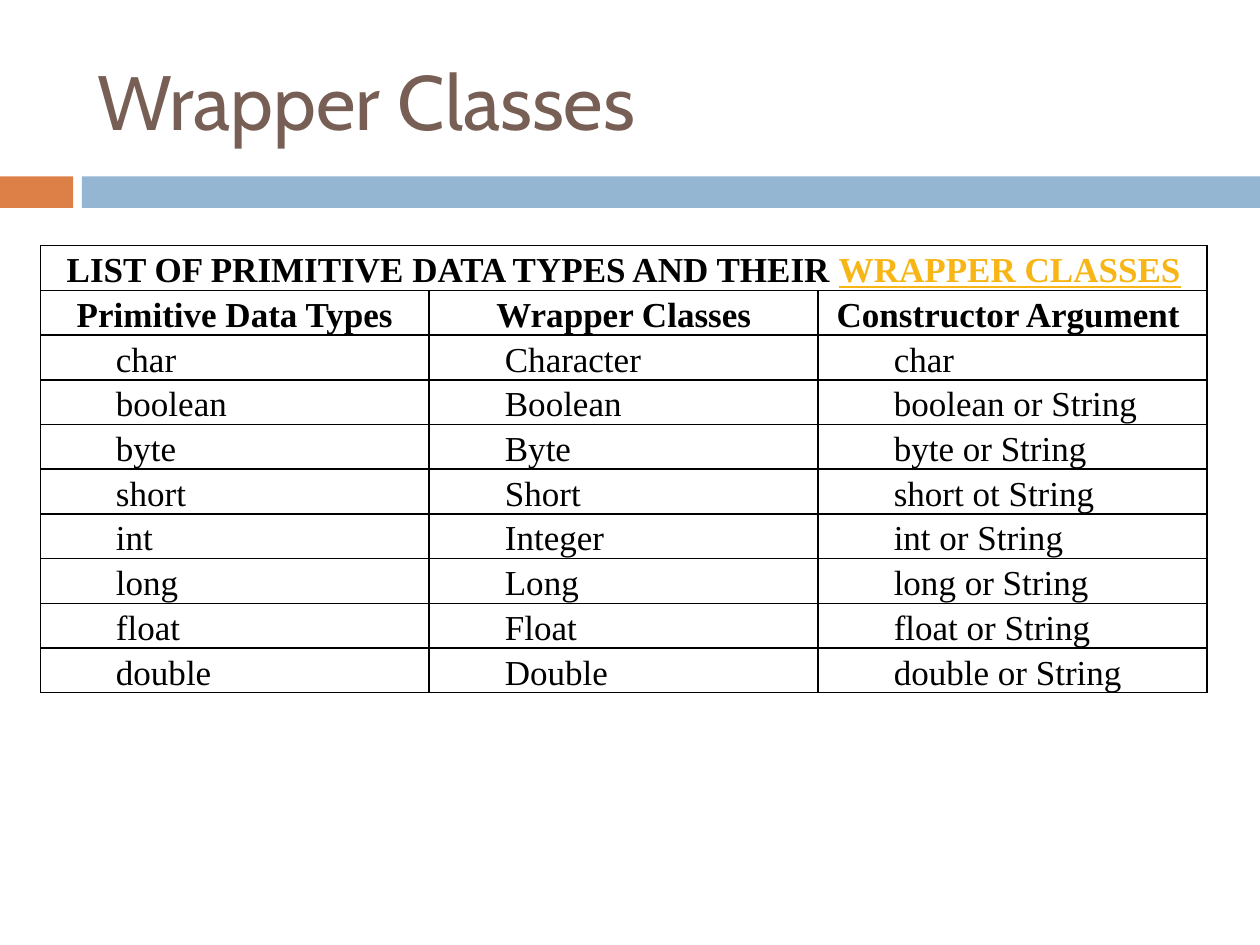
from lxml.etree import SubElement
from pptx import Presentation
from pptx.dml.color import RGBColor
from pptx.enum.shapes import MSO_SHAPE
from pptx.enum.text import MSO_ANCHOR, PP_ALIGN
from pptx.oxml.ns import qn
from pptx.util import Inches, Pt

HEADING = [("LIST OF PRIMITIVE DATA TYPES AND THEIR ", {}),
           ("WRAPPER CLASSES", {"color": "F7B615", "underline": True})]
HEADERS = ["Primitive Data Types", "Wrapper Classes", "Constructor Argument "]
ROWS = [
    ("char", "Character", "char"),
    ("boolean", "Boolean", "boolean or String"),
    ("byte", "Byte", "byte or String"),
    ("short", "Short", "short ot String"),
    ("int", "Integer", "int or String"),
    ("long", "Long", "long or String"),
    ("float", "Float", "float or String"),
    ("double", "Double", "double or String"),
]
CELL_FONT = {"name": "Times New Roman", "size": Pt(20), "bold": False}


def rgb(color):
    return RGBColor.from_string(color)


def add_run(p, text, color, fmt):
    r = p.add_run()
    r.text = text
    r.font.color.rgb = rgb(color)
    for name, value in fmt.items():
        setattr(r.font, name, value)


def add_bar(s, left, width, color):
    sp = s.shapes.add_shape(MSO_SHAPE.RECTANGLE, Inches(left), Inches(1.4),
                            Inches(width), Inches(0.25))
    sp.shadow.inherit = False
    sp.fill.solid()
    sp.fill.fore_color.rgb = rgb(color)
    sp.line.fill.background()


def set_title(s, text):
    sp = s.shapes.title
    place = {"left": 0.67, "top": 0.25, "width": 8.92, "height": 1.08}
    for name, value in place.items():
        setattr(sp, name, Inches(value))
    tf = sp.text_frame
    tf.vertical_anchor = MSO_ANCHOR.MIDDLE
    p = tf.paragraphs[0]
    p.alignment = PP_ALIGN.LEFT
    add_run(p, text, "775F55", {"name": "Cabin", "size": Pt(44)})


def style_cell(cell):
    margins = {"margin_left": 0.1, "margin_right": 0.1,
               "margin_top": 0, "margin_bottom": 0}
    for name, value in margins.items():
        setattr(cell, name, Inches(value))
    tcPr = cell._tc.get_or_add_tcPr()
    for side in ("lnL", "lnR", "lnT", "lnB"):
        ln = SubElement(tcPr, qn(f"a:{side}"), w=str(Pt(1)))
        SubElement(SubElement(ln, qn("a:solidFill")), qn("a:srgbClr"), val="000000")
    cell.fill.background()


def fill_cell(cell, runs, header):
    p = cell.text_frame.paragraphs[0]
    p.line_spacing = 1.15
    if header:
        p.alignment = PP_ALIGN.CENTER
    else:
        pPr = p._p.get_or_add_pPr()
        pPr.set("marL", str(Inches(0.5)))
        pPr.set("indent", "0")
    for text, extra in runs:
        fmt = {**CELL_FONT, "bold": header, **extra}
        add_run(p, text, fmt.pop("color", "000000"), fmt)


def add_type_table(s):
    grid = [HEADERS, *ROWS]
    heights = [0.32, 0.35] + [0.32] * len(ROWS)
    table = s.shapes.add_table(len(heights), len(HEADERS), Inches(0.32), Inches(1.95),
                               Inches(9.26), Inches(sum(heights))).table
    table.horz_banding = False
    table.first_row = False
    for row, height in zip(table.rows, heights):
        row.height = Inches(height)
    for cell in table.iter_cells():
        style_cell(cell)
    table.cell(0, 0).merge(table.cell(0, len(HEADERS) - 1))
    fill_cell(table.cell(0, 0), HEADING, True)
    for i, values in enumerate(grid, start=1):
        for j, text in enumerate(values):
            fill_cell(table.cell(i, j), [(text, {})], i == 1)


def main():
    prs = Presentation()
    prs.slide_width = Inches(10)
    prs.slide_height = Inches(7.5)
    s = prs.slides.add_slide(prs.slide_layouts[5])
    add_bar(s, 0, 0.58, "DD8047")
    add_bar(s, 0.65, 9.35, "94B6D2")
    set_title(s, "Wrapper Classes")
    add_type_table(s)
    prs.save("out.pptx")


if __name__ == "__main__":
    main()
